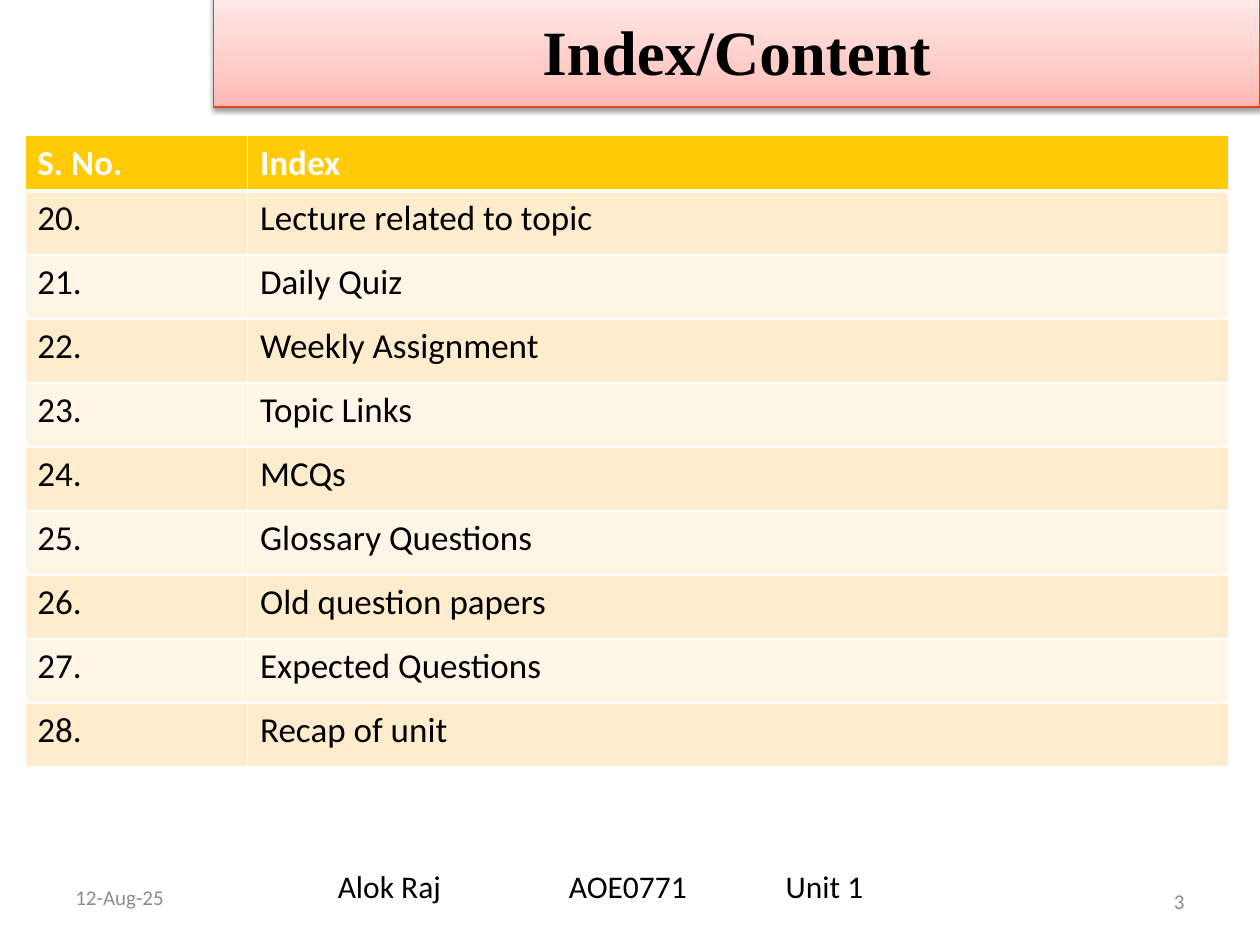
import pptx
import pptx.dml.color
import pptx.enum.shapes
import pptx.enum.text
import pptx.oxml
import pptx.oxml.ns
import pptx.util
from lxml import etree

Cm = pptx.util.Cm
Pt = pptx.util.Pt
ALIGN = pptx.enum.text.PP_ALIGN
ANCHOR = pptx.enum.text.MSO_ANCHOR
qn = pptx.oxml.ns.qn

TOPICS = [
    "Lecture related to topic",
    "Daily Quiz",
    "Weekly Assignment",
    "Topic Links",
    "MCQs",
    "Glossary Questions",
    "Old question papers",
    "Expected Questions",
    "Recap of unit",
]
FIRST_NUMBER = 20


def color(hex_value):
    return pptx.dml.color.RGBColor.from_string(hex_value)


def add_xml(parent, tag, **attributes):
    values = {name: str(value) for name, value in attributes.items()}
    return etree.SubElement(parent, qn(tag), values)


class IndexSlide:
    body_font = "Calibri"
    title_font = "Times New Roman"
    black, white, grey = "000000", "FFFFFF", "8C8C8C"
    header_fill = "FFCA08"
    band_fills = ("FFECCC", "FFF6E7")
    banner_stops = ((0, "FFB7B1"), (35, "FFCCC8"), (100, "FFEBEA"))
    banner_line = "E6431D"

    def __init__(self, presentation):
        self.slide = presentation.slides.add_slide(presentation.slide_layouts[6])

    def style_text(self, paragraph, text, size, ink, bold=False, font=None, align=ALIGN.LEFT):
        paragraph.text = text
        paragraph.alignment = align
        paragraph.font.name = font or self.body_font
        paragraph.font.size = Pt(size)
        paragraph.font.bold = bold
        paragraph.font.color.rgb = color(ink)

    def text(self, text, box, size, ink, align=ALIGN.LEFT, anchor=ANCHOR.MIDDLE, tabs=()):
        shape = self.slide.shapes.add_textbox(*map(Cm, box))
        frame = shape.text_frame
        frame.word_wrap = True
        frame.vertical_anchor = anchor
        paragraph = frame.paragraphs[0]
        if tabs:
            tab_list = add_xml(paragraph._p.get_or_add_pPr(), "a:tabLst")
            for position in tabs:
                add_xml(tab_list, "a:tab", pos=int(Cm(position)), algn="l")
        self.style_text(paragraph, text, size, ink, align=align)

    def banner(self, text, box):
        shape = self.slide.shapes.add_shape(
            pptx.enum.shapes.MSO_SHAPE.RECTANGLE, *map(Cm, box))
        shape.fill.gradient()
        shape.fill.gradient_angle = 90
        stops = shape._element.spPr.find(qn("a:gradFill")).find(qn("a:gsLst"))
        for stop in list(stops):
            stops.remove(stop)
        for percent, tint in self.banner_stops:
            stop = add_xml(stops, "a:gs", pos=percent * 1000)
            add_xml(stop, "a:srgbClr", val=tint)
        shape.line.color.rgb = color(self.banner_line)
        shape.line.width = Pt(0.75)
        shape.shadow.inherit = False
        effects = shape._element.spPr.find(qn("a:effectLst"))
        shadow = add_xml(effects, "a:outerShdw", blurRad=int(Pt(3.1)), dist=int(Pt(1.6)),
                         dir=90 * 60000, rotWithShape=0)
        shadow_color = add_xml(shadow, "a:srgbClr", val=self.black)
        add_xml(shadow_color, "a:alpha", val=38000)
        frame = shape.text_frame
        frame.word_wrap = True
        frame.vertical_anchor = ANCHOR.MIDDLE
        self.style_text(frame.paragraphs[0], text, 36, self.black, True,
                        self.title_font, ALIGN.CENTER)

    def borders(self, cell, top, bottom):
        properties = cell._tc.get_or_add_tcPr()
        for side, width in (("L", 1), ("R", 1), ("T", top), ("B", bottom)):
            line = add_xml(properties, f"a:ln{side}", w=int(Pt(width)))
            add_xml(add_xml(line, "a:solidFill"), "a:srgbClr", val=self.white)

    def table(self, rows, left, top, widths, header_height, row_height):
        height = header_height + row_height * (len(rows) - 1)
        table = self.slide.shapes.add_table(
            len(rows), len(widths), Cm(left), Cm(top), Cm(sum(widths)), Cm(height)).table
        for column, width in zip(table.columns, widths):
            column.width = Cm(width)
        for index, values in enumerate(rows):
            header = index == 0
            table.rows[index].height = Cm(header_height if header else row_height)
            fill = self.header_fill if header else self.band_fills[(index - 1) % 2]
            for column, value in enumerate(values):
                cell = table.cell(index, column)
                self.borders(cell, 3 if index == 1 else 1, 3 if header else 1)
                cell.fill.solid()
                cell.fill.fore_color.rgb = color(fill)
                self.style_text(cell.text_frame.paragraphs[0], value, 20,
                                self.white if header else self.black, header)


def main():
    presentation = pptx.Presentation()
    presentation.slide_width = Cm(25.4)
    presentation.slide_height = Cm(19.05)
    page = IndexSlide(presentation)
    rows = [("S. No.", "Index")]
    rows += [(f"{number}.", topic) for number, topic in enumerate(TOPICS, FIRST_NUMBER)]
    page.table(rows, 0.5, 2.73, (4.49, 19.77), 1.1, 1.29)
    page.text("3", (18.2, 17.66, 5.93, 1.01), 12, page.grey, ALIGN.RIGHT)
    page.text("12-Aug-25", (1.27, 17.51, 11.02, 1.16), 12, page.grey)
    page.banner("Index/Content", (4.3, -0.15, 21.1, 2.31))
    page.text("Alok Raj\tAOE0771\tUnit 1", (6.56, 17.35, 13.97, 1.02), 18, page.black,
              anchor=ANCHOR.TOP, tabs=(4.66, 9.03))
    presentation.save("out.pptx")


if __name__ == "__main__":
    main()
